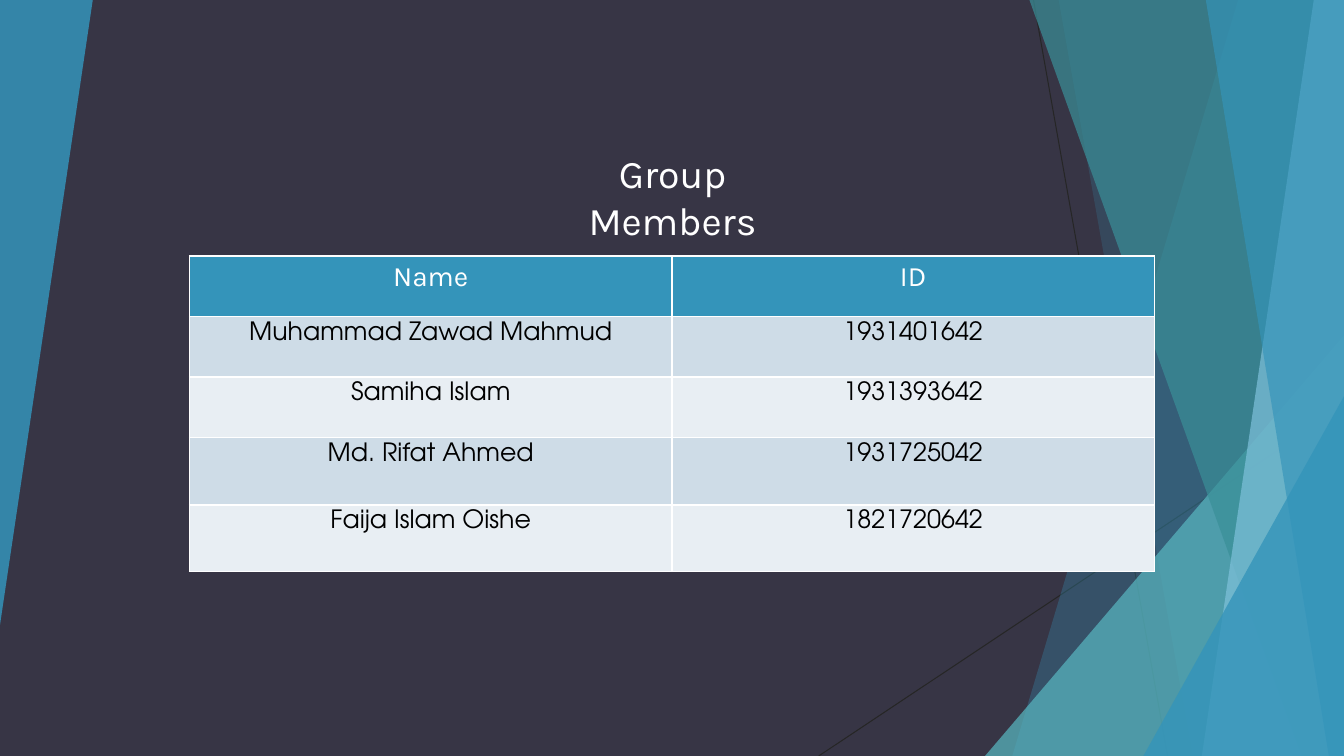
from lxml import etree
from pptx import Presentation
from pptx.dml.color import RGBColor
from pptx.enum.shapes import MSO_CONNECTOR, MSO_SHAPE
from pptx.enum.text import MSO_ANCHOR, MSO_AUTO_SIZE, PP_ALIGN
from pptx.oxml.ns import qn
from pptx.util import Inches, Pt

LINE = MSO_CONNECTOR.STRAIGHT
TRIANGLE = MSO_SHAPE.ISOSCELES_TRIANGLE
TOP = MSO_ANCHOR.TOP
CENTER = PP_ALIGN.CENTER
FIXED = MSO_AUTO_SIZE.NONE

WIDE, HIGH = 13.33, 7.5
BLUE, TEAL, WHITE = "3494BA", "58B6C0", "FFFFFF"
BANDS = ["CEDCE7", "E8EEF3"]
ROWS = [
    ("Name", "ID"),
    ("Muhammad Zawad Mahmud", "1931401642"),
    ("Samiha Islam", "1931393642"),
    ("Md. Rifat Ahmed", "1931725042"),
    ("Faija Islam Oishe", "1821720642"),
]
HEIGHTS = [0.6, 0.6, 0.6, 0.67, 0.66]


def color(code):
    return RGBColor.from_string(code)


def paint(shape, code, share):
    shape.shadow.inherit = False
    shape.fill.solid()
    shape.fill.fore_color.rgb = color(code)
    shape.line.fill.background()
    tint = shape.fill._xPr.find(qn("a:solidFill"))[0]
    etree.SubElement(tint, qn("a:alpha")).set("val", str(share * 1000))


def style(frame, face, size, code):
    for para in frame.paragraphs:
        para.alignment = CENTER
        for run in para.runs:
            run.font.name = face
            run.font.size = Pt(size)
            run.font.bold = False
            run.font.color.rgb = color(code)


def add_line(slide, *ends):
    line = slide.shapes.add_connector(LINE, *map(Inches, ends))
    line.line.color.rgb = color("262626")
    line.line.width = Pt(0.75)
    etree.SubElement(line._element.spPr, qn("a:effectLst"))


def add_wedge(slide, head, foot, code, share):
    path = slide.shapes.build_freeform(Inches(head), 0)
    edge = [(WIDE, 0), (WIDE, HIGH), (foot, HIGH)]
    path.add_line_segments([(Inches(x), Inches(y)) for x, y in edge])
    paint(path.convert_to_shape(), code, share)


def add_corner(slide, wide, high, code, share, turn=0):
    left, top = (0, 0) if turn else (WIDE - wide, HIGH - high)
    box = map(Inches, (left, top, wide, high))
    shape = slide.shapes.add_shape(TRIANGLE, *box)
    shape.adjustments[0] = 1
    shape.rotation = turn
    paint(shape, code, share)


def add_facets(slide):
    add_line(slide, 10.25, 0, 11.58, HIGH)
    add_line(slide, WIDE, 4.03, 8.12, HIGH)
    add_wedge(slide, 12.28, 10.04, BLUE, 30)
    add_wedge(slide, 10.5, 11.83, BLUE, 20)
    add_corner(slide, 3.56, 4.17, TEAL, 72)
    add_wedge(slide, 10.21, 12.91, "3A8F98", 70)
    add_wedge(slide, 13.03, 11.92, "7FC1DB", 70)
    add_wedge(slide, 11.96, 13.18, BLUE, 65)
    add_corner(slide, 1.99, 3.57, BLUE, 80)
    add_corner(slide, 0.92, 6.2, BLUE, 85, 180)


def add_title(slide, left, top, wide, high):
    title = slide.shapes.title
    title.left, title.top = Inches(left), Inches(top)
    title.width, title.height = Inches(wide), Inches(high)
    frame = title.text_frame
    frame.text = "Group Members"
    frame.word_wrap = True
    frame.auto_size = FIXED
    frame.vertical_anchor = TOP
    style(frame, "Karla", 28, WHITE)


def add_edges(cell):
    props = cell._tc.get_or_add_tcPr()
    for side in "LRTB":
        edge = etree.SubElement(props, qn("a:ln" + side), w=str(Pt(1)))
        fill = etree.SubElement(edge, qn("a:solidFill"))
        etree.SubElement(fill, qn("a:srgbClr"), val=WHITE)


def add_grid(slide, left, top, wide):
    box = map(Inches, (left, top, wide, sum(HEIGHTS)))
    table = slide.shapes.add_table(len(ROWS), 2, *box).table
    for r, row in enumerate(ROWS):
        table.rows[r].height = Inches(HEIGHTS[r])
        for c, text in enumerate(row):
            cell = table.cell(r, c)
            add_edges(cell)
            cell.fill.solid()
            cell.fill.fore_color.rgb = color(BANDS[(r - 1) % 2] if r else BLUE)
            cell.vertical_anchor = TOP
            cell.text_frame.text = text
            if r:
                style(cell.text_frame, "TeX Gyre Adventor", 18, "000000")
            else:
                style(cell.text_frame, "Karla", 20, WHITE)


def main():
    deck = Presentation()
    deck.slide_width, deck.slide_height = Inches(WIDE), Inches(HIGH)
    slide = deck.slides.add_slide(deck.slide_layouts[5])
    slide.background.fill.solid()
    slide.background.fill.fore_color.rgb = color("373545")
    add_facets(slide)
    add_title(slide, 5.17, 1.43, 3, 0.73)
    add_grid(slide, 1.88, 2.54, 9.57)
    deck.save("out.pptx")


if __name__ == "__main__":
    main()
